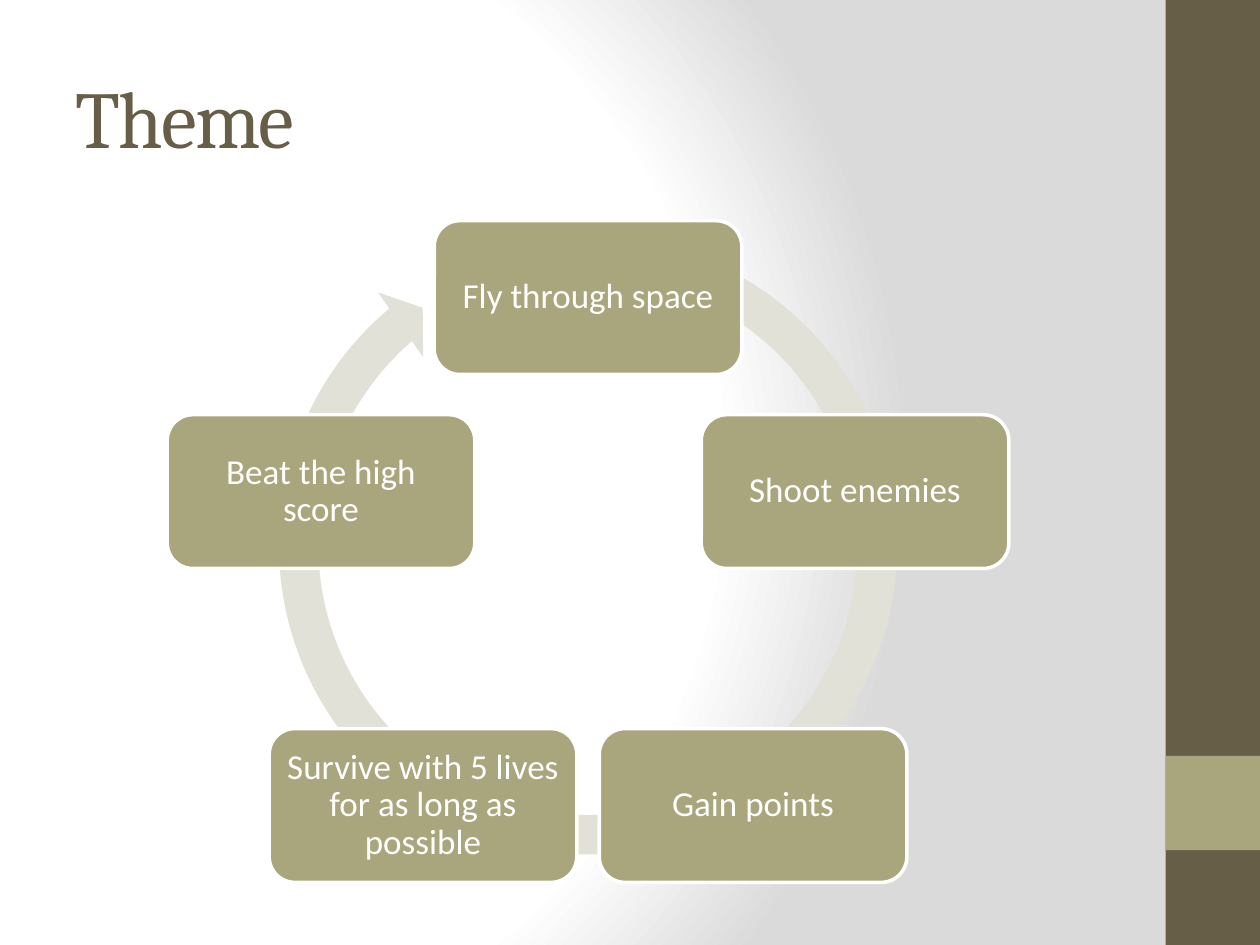
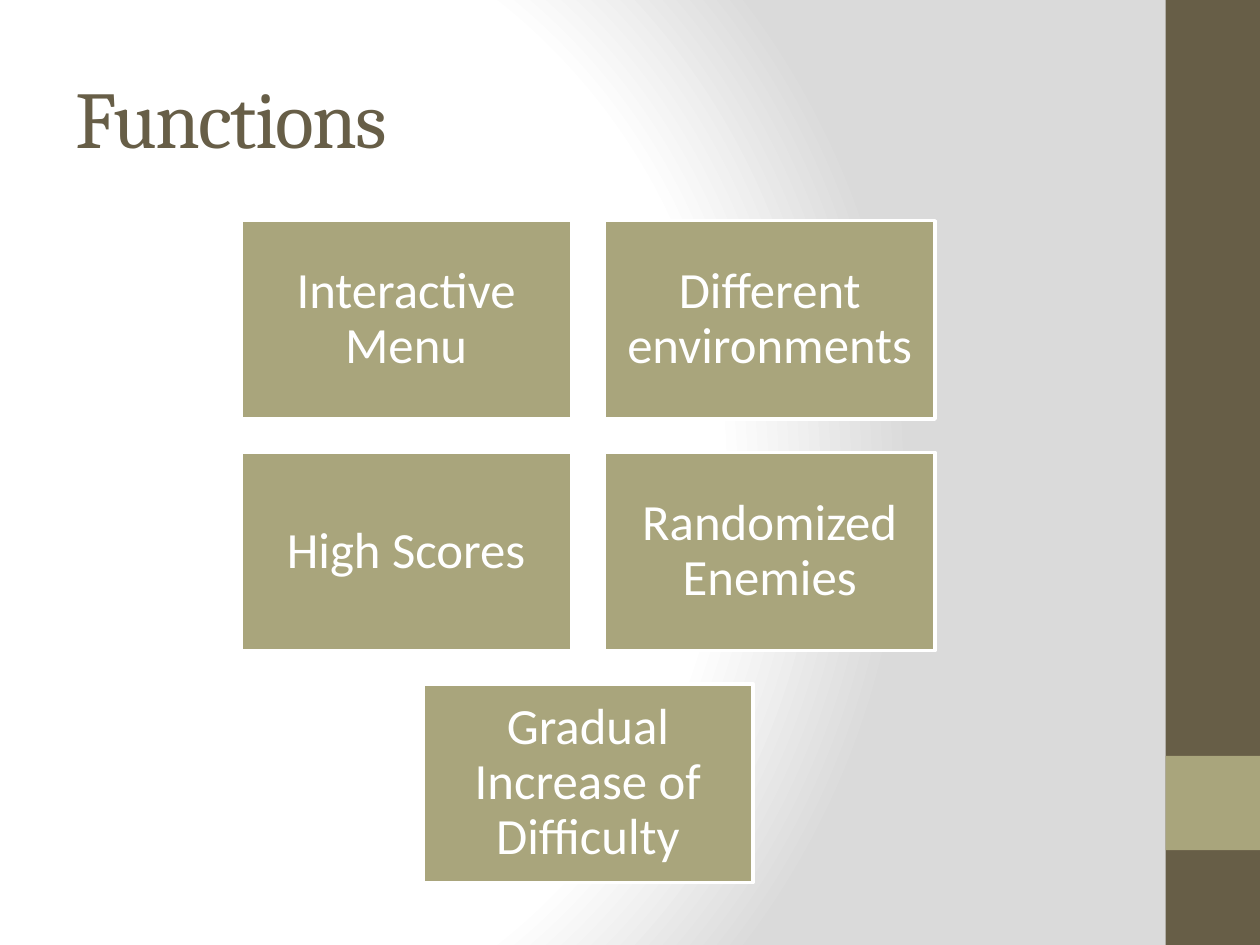
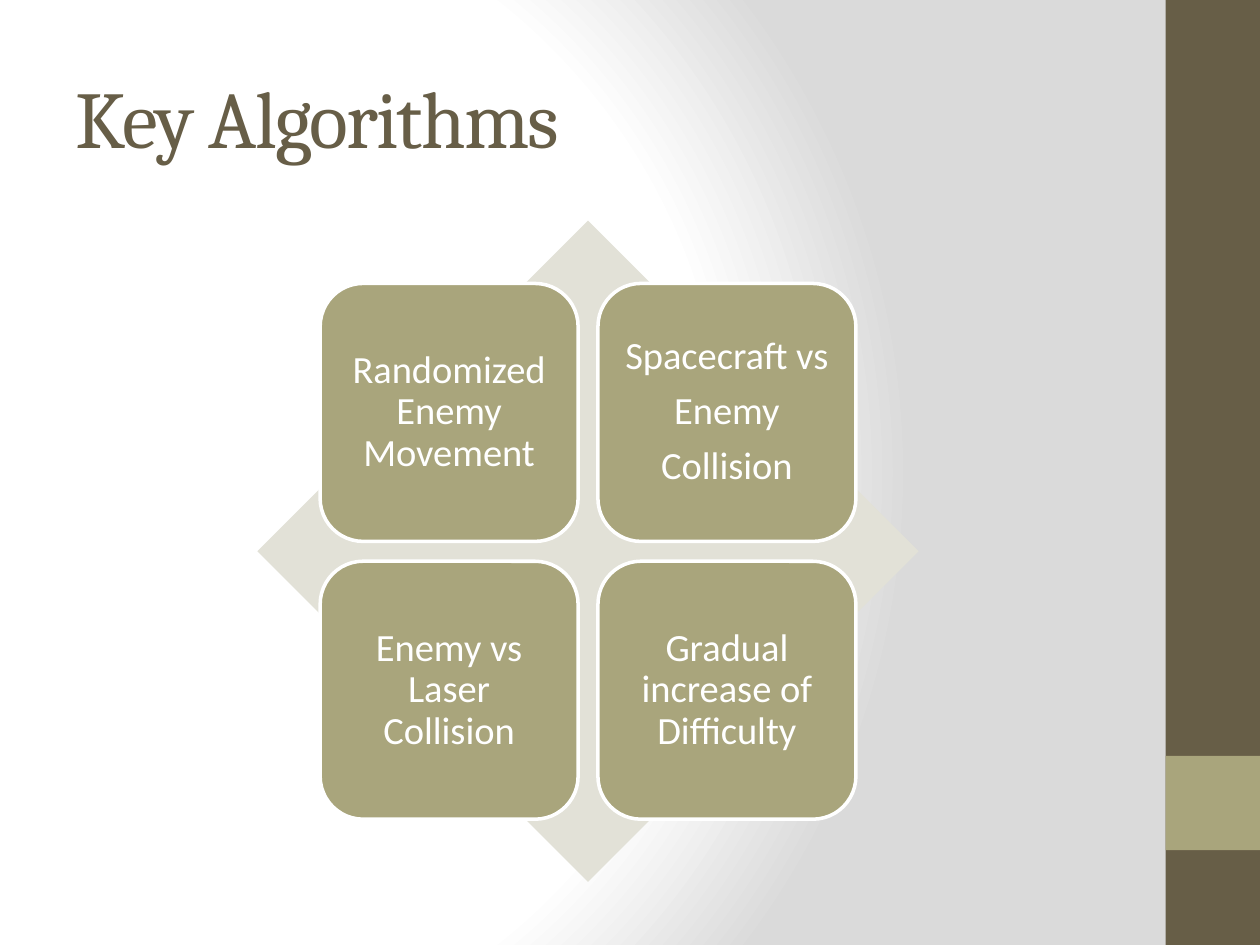
from dataclasses import dataclass
from math import cos, radians, sin

from lxml.etree import SubElement
from pptx import Presentation
from pptx.dml.color import RGBColor
from pptx.enum.shapes import MSO_SHAPE
from pptx.enum.text import MSO_ANCHOR, MSO_AUTO_SIZE, PP_ALIGN
from pptx.oxml.ns import qn
from pptx.util import Cm, Pt


@dataclass(frozen=True)
class Theme:
    dark: str = "675E47"
    accent: str = "A9A57C"
    pale: str = "E2E1D7"
    white: str = "FFFFFF"
    grey: str = "DADADA"
    heading_font: str = "Cambria"
    body_font: str = "Calibri"
    title_size: int = 46
    cycle_size: int = 20
    grid_size: int = 29
    matrix_size: int = 22
    outline: int = 2


@dataclass(frozen=True)
class Box:
    left: float
    top: float
    width: float
    height: float

    @property
    def center(self):
        return self.left + self.width / 2, self.top + self.height / 2

    def lengths(self):
        return Cm(self.left), Cm(self.top), Cm(self.width), Cm(self.height)


THEME = Theme()
PAGE = Box(0, 0, 25.4, 19.05)
TITLE = Box(1.27, 0.76, 21.17, 3.18)
CONTENT = Box(1.27, 4.45, 21.17, 13.33)
SIDEBAR = Box(23.5, 0, 1.9, 19.05)
SIDEBAR_MARK = Box(23.5, 15.24, 1.9, 1.9)


def centered(x, y, width, height):
    return Box(x - width / 2, y - height / 2, width, height)


def add_figure(page, kind, box, color):
    figure = page.shapes.add_shape(kind, *box.lengths())
    figure.shadow.inherit = False
    figure.fill.solid()
    figure.fill.fore_color.rgb = RGBColor.from_string(color)
    figure.line.fill.background()
    return figure


def format_span(span, font_name, size, color):
    span.font.name = font_name
    span.font.size = Pt(size)
    span.font.color.rgb = RGBColor.from_string(color)


def add_tile(page, kind, box, text, size, inset):
    tile = add_figure(page, kind, box, THEME.accent)
    tile.line.color.rgb = RGBColor.from_string(THEME.white)
    tile.line.width = Pt(THEME.outline)
    frame = tile.text_frame
    frame.word_wrap = True
    frame.vertical_anchor = MSO_ANCHOR.MIDDLE
    frame.margin_left = frame.margin_right = Cm(inset)
    frame.margin_top = frame.margin_bottom = Cm(inset)
    frame.text = text
    for paragraph in frame.paragraphs:
        paragraph.alignment = PP_ALIGN.CENTER
        paragraph.line_spacing = 0.9
        paragraph.space_after = Pt(0.35 * size)
        for span in paragraph.runs:
            format_span(span, THEME.body_font, size, THEME.white)


def set_background(master):
    master.background.fill.background()
    properties = master.element.find(".//" + qn("p:bgPr"))
    properties.remove(properties[0])
    gradient = SubElement(properties, qn("a:gradFill"), rotWithShape="1")
    properties.insert(0, gradient)
    stops = SubElement(gradient, qn("a:gsLst"))
    for position, color in ((0, THEME.white), (75, THEME.white), (100, THEME.grey)):
        stop = SubElement(stops, qn("a:gs"), pos=str(position * 1000))
        SubElement(stop, qn("a:srgbClr"), val=color)
    circle = SubElement(gradient, qn("a:path"), path="circle")
    SubElement(circle, qn("a:fillToRect"), l="20000", t="50000", r="100000", b="50000")


def add_sidebar(master, page):
    tree = master.element.cSld.spTree
    bands = ((SIDEBAR, THEME.dark), (SIDEBAR_MARK, THEME.accent))
    for number, (box, color) in enumerate(bands):
        band = add_figure(page, MSO_SHAPE.RECTANGLE, box, color)
        band.element.nvSpPr.cNvPr.set("id", str(20 + number))
        tree.insert(2 + number, band.element)


def add_page(deck, heading):
    page = deck.slides.add_slide(deck.slide_layouts.get_by_name("Title Only"))
    title = page.shapes.title
    title.left, title.top, title.width, title.height = TITLE.lengths()
    frame = title.text_frame
    frame.text = heading
    frame.auto_size = MSO_AUTO_SIZE.NONE
    frame.vertical_anchor = MSO_ANCHOR.MIDDLE
    paragraph = frame.paragraphs[0]
    paragraph.alignment = PP_ALIGN.LEFT
    span = paragraph.runs[0]
    format_span(span, THEME.heading_font, THEME.title_size, THEME.dark)
    span.font._element.set("spc", "-100")
    return page


def draw_cycle(page, box, labels):
    width, height, radius, ring_size = 6.2, 3.1, 5.66, 13.26
    x, middle = box.center
    ring_box = centered(x, middle - 0.12, ring_size, ring_size)
    ring = add_figure(page, MSO_SHAPE.CIRCULAR_ARROW, ring_box, THEME.pale)
    for index, value in enumerate((0.06, 3.31, 137.79, 173.84, 0.06)):
        ring.adjustments[index] = value
    hub = box.top + height / 2 + radius
    for index, label in enumerate(labels):
        angle = radians(360 * index / len(labels))
        node = centered(x + radius * sin(angle), hub - radius * cos(angle), width, height)
        add_tile(page, MSO_SHAPE.ROUNDED_RECTANGLE, node, label, THEME.cycle_size, 0.2)


def draw_grid(page, box, labels, columns=2):
    width, height, gap = 6.66, 4.0, 0.67
    for start in range(0, len(labels), columns):
        row = labels[start:start + columns]
        row_width = len(row) * (width + gap) - gap
        left = box.center[0] - row_width / 2
        top = box.top + start // columns * (height + gap)
        for index, label in enumerate(row):
            cell = Box(left + index * (width + gap), top, width, height)
            add_tile(page, MSO_SHAPE.RECTANGLE, cell, label, THEME.grid_size, 0.3)


def draw_matrix(page, box, labels):
    side, gap = 5.2, 0.4
    x, y = box.center
    diamond = centered(x, y, box.height, box.height)
    add_figure(page, MSO_SHAPE.DIAMOND, diamond, THEME.pale)
    for index, label in enumerate(labels):
        row, column = divmod(index, 2)
        shift = (side + gap) / 2
        tile = centered(x + (2 * column - 1) * shift, y + (2 * row - 1) * shift, side, side)
        add_tile(page, MSO_SHAPE.ROUNDED_RECTANGLE, tile, label, THEME.matrix_size, 0.22)


PAGES = (
    ("Theme", draw_cycle, (
        "Fly through space",
        "Shoot enemies",
        "Gain points",
        "Survive with 5 lives for as long as possible",
        "Beat the high score",
    )),
    ("Functions", draw_grid, (
        "Interactive Menu",
        "Different environments",
        "High Scores",
        "Randomized Enemies",
        "Gradual Increase of Difficulty",
    )),
    ("Key Algorithms", draw_matrix, (
        "Randomized Enemy Movement",
        "Spacecraft vs\nEnemy\nCollision",
        "Enemy vs Laser Collision",
        "Gradual increase of Difficulty",
    )),
)


def main():
    deck = Presentation()
    deck.slide_width, deck.slide_height = Cm(PAGE.width), Cm(PAGE.height)
    set_background(deck.slide_master)
    for heading, draw, labels in PAGES:
        draw(add_page(deck, heading), CONTENT, labels)
    add_sidebar(deck.slide_master, deck.slides[0])
    deck.save("out.pptx")


if __name__ == "__main__":
    main()
